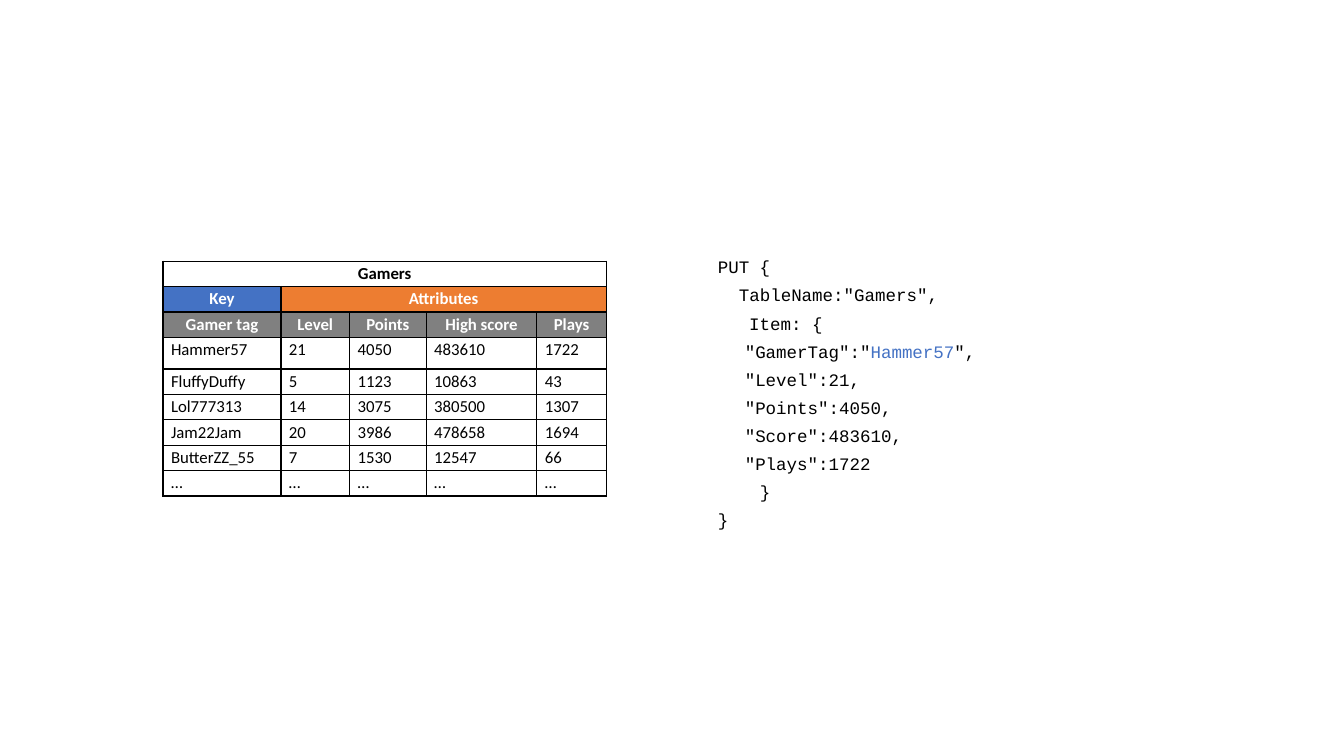
"""Build a slide with a table of gamers and the matching PUT request."""
from dataclasses import dataclass

from lxml.etree import SubElement as Sub
from pptx import Presentation
from pptx.dml.color import RGBColor as RGB
from pptx.enum.text import MSO_AUTO_SIZE as Auto, PP_ALIGN as Align
from pptx.oxml.ns import qn
from pptx.util import Cm, Pt

BLACK, WHITE, BLUE, ORANGE, GREY = "000000", "FFFFFF", "4472C4", "ED7D31", "808080"


@dataclass
class Head:
    row: int
    col: int
    text: str
    span: int = 1
    fill: str = ""
    ink: str = WHITE


@dataclass
class Line:
    texts: list[str]
    indent: float = 0


COLS = [2.97, 1.73, 1.93, 2.79, 1.75]
ROWS = [0.64] * 3 + [0.8] + [0.64] * 5
NAMES = ["Gamer tag", "Level", "Points", "High score", "Plays"]
HEADS = [
    Head(0, 0, "Gamers", 5, ink=BLACK),
    Head(1, 0, "Key", fill=BLUE),
    Head(1, 1, "Attributes", 4, ORANGE),
] + [Head(2, col, name, fill=GREY) for col, name in enumerate(NAMES)]
DATA = [
    ["Hammer57", "21", "4050", "483610", "1722"],
    ["FluffyDuffy", "5", "1123", "10863", "43"],
    ["Lol777313", "14", "3075", "380500", "1307"],
    ["Jam22Jam", "20", "3986", "478658", "1694"],
    ["ButterZZ_55", "7", "1530", "12547", "66"],
    ["…"] * 5,
]
FIELD = 0.68
CODE = [
    Line(["PUT {"]),
    Line(['TableName:"Gamers",'], 0.53),
    Line(["Item: {"], 0.79),
    Line(['"GamerTag":"', "Hammer57", '",'], FIELD),
    Line(['"Level":21,'], FIELD),
    Line(['"Points":4050,'], FIELD),
    Line(['"Score":483610,'], FIELD),
    Line(['"Plays":1722'], FIELD),
    Line(["}"], 1.06),
    Line(["}"]),
]


def tint(color, code: str) -> None:
    color.rgb = RGB.from_string(code)


def style(run, face: str, size: float, ink: str, bold: bool = False) -> None:
    font = run.font
    font.name, font.size, font.bold = face, Pt(size), bold
    tint(font.color, ink)


def frame(cell) -> None:
    props = cell._tc.get_or_add_tcPr()
    for side in ("lnL", "lnR", "lnT", "lnB"):
        edge = Sub(props, qn(f"a:{side}"), w=str(Pt(1)))
        Sub(Sub(edge, qn("a:solidFill")), qn("a:srgbClr"), val=BLACK)
    cell.margin_left = cell.margin_right = Cm(0.2)
    cell.margin_top = cell.margin_bottom = Cm(0.06)
    cell.fill.background()


def write(cell, text: str, ink: str = BLACK, bold: bool = False) -> None:
    cell.text_frame.text = text
    para = cell.text_frame.paragraphs[0]
    para.alignment = Align.CENTER if bold else Align.LEFT
    style(para.runs[0], "Calibri", 12, ink, bold)


def add_grid(slide) -> None:
    shape = slide.shapes.add_table(
        len(ROWS), len(COLS), Cm(4.11), Cm(6.58), Cm(sum(COLS)), Cm(sum(ROWS)))
    grid = shape.table
    grid.first_row = grid.horz_banding = False
    for col, width in zip(grid.columns, COLS):
        col.width = Cm(width)
    for row, height in zip(grid.rows, ROWS):
        row.height = Cm(height)
    for cell in grid.iter_cells():
        frame(cell)
    for head in HEADS:
        cell = grid.cell(head.row, head.col)
        if head.span > 1:
            cell.merge(grid.cell(head.row, head.col + head.span - 1))
        if head.fill:
            cell.fill.solid()
            tint(cell.fill.fore_color, head.fill)
        write(cell, head.text, head.ink, True)
    for row, texts in enumerate(DATA, 3):
        for col, text in enumerate(texts):
            write(grid.cell(row, col), text)


def add_code(slide) -> None:
    box = slide.shapes.add_textbox(Cm(17.73), Cm(6.15), Cm(7.92), Cm(7.87))
    body = box.text_frame
    body.word_wrap, body.auto_size = True, Auto.NONE
    body.margin_left = body.margin_right = Cm(0.36)
    body.margin_top = body.margin_bottom = Cm(0.28)
    for num, line in enumerate(CODE):
        para = body.add_paragraph() if num else body.paragraphs[0]
        para.space_after, para.line_spacing = Pt(4.2), 1.06
        para._p.get_or_add_pPr().set("marL", str(Cm(line.indent)))
        for text in line.texts:
            run = para.add_run()
            run.text = text
            style(run, "Courier New", 12.5, BLUE if text == "Hammer57" else BLACK)


def main() -> None:
    deck = Presentation()
    deck.slide_width, deck.slide_height = Cm(33.87), Cm(19.05)
    slide = deck.slides.add_slide(deck.slide_layouts[6])
    add_grid(slide)
    add_code(slide)
    deck.save("out.pptx")


if __name__ == "__main__":
    main()
